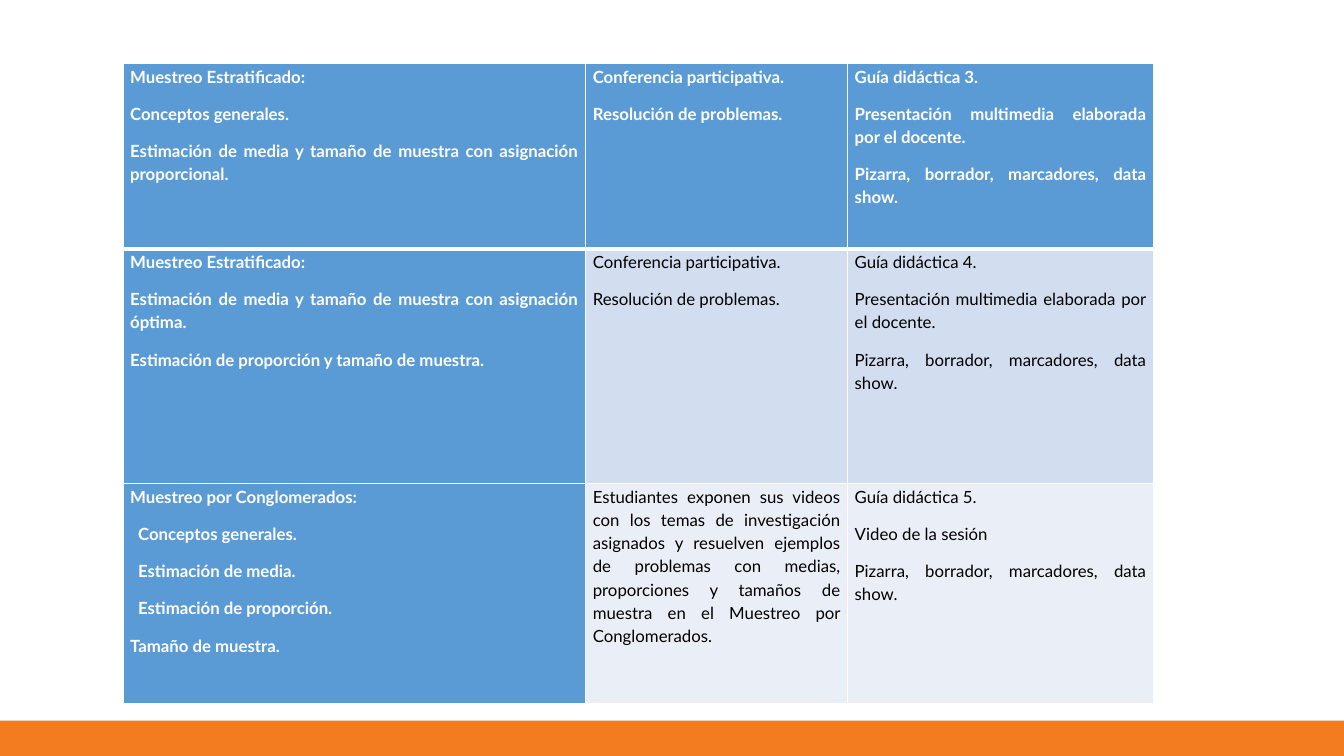
from lxml.etree import SubElement
from pptx import Presentation
from pptx.dml.color import RGBColor
from pptx.enum.shapes import MSO_SHAPE as Shape
from pptx.enum.text import PP_ALIGN as Align
from pptx.oxml.ns import qn
from pptx.util import Cm, Pt

WHITE = RGBColor(0xFF, 0xFF, 0xFF)
BLACK = RGBColor(0x00, 0x00, 0x00)
ORANGE = RGBColor(0xF4, 0x7C, 0x20)
BLUE = RGBColor(0x5B, 0x9B, 0xD5)
BAND_FILLS = [BLUE, RGBColor(0xD2, 0xDE, 0xEF), RGBColor(0xEA, 0xEF, 0xF7)]

COLUMN_WIDTHS = [11.66, 6.6, 7.71]
ROW_HEIGHTS = [4.67, 5.92, 5.54]

METHODS = ["Conferencia participativa.", "Resolución de problemas."]
SLIDES = "Presentación multimedia elaborada por el docente."
BOARD = "Pizarra, borrador, marcadores, data show."
CLUSTER_TOPICS = ["Conceptos generales.", "Estimación de media.", "Estimación de proporción."]
SESSIONS = [
    [
        [
            "Muestreo Estratificado:",
            "Conceptos generales.",
            "Estimación de media y tamaño de muestra con asignación proporcional.",
        ],
        METHODS,
        ["Guía didáctica 3.", SLIDES, BOARD],
    ],
    [
        [
            "Muestreo Estratificado:",
            "Estimación de media y tamaño de muestra con asignación óptima.",
            "Estimación de proporción y tamaño de muestra.",
        ],
        METHODS,
        ["Guía didáctica 4.", SLIDES, BOARD],
    ],
    [
        ["Muestreo por Conglomerados:", *CLUSTER_TOPICS, "Tamaño de muestra."],
        [
            "Estudiantes exponen sus videos con los temas de investigación asignados "
            "y resuelven ejemplos de problemas con medias, proporciones y tamaños de "
            "muestra en el Muestreo por Conglomerados."
        ],
        ["Guía didáctica 5.", "Video de la sesión", BOARD],
    ],
]


def add_footer_bar(page, width):
    """Draw the orange bar along the bottom edge."""
    bar = page.shapes.add_shape(Shape.RECTANGLE, 0, Cm(18.16), width, Cm(0.89))
    bar.shadow.inherit = False
    bar.fill.solid()
    bar.fill.fore_color.rgb = ORANGE
    bar.line.fill.background()


def set_borders(cell, top, bottom):
    """Give a cell white borders, with top and bottom widths in points."""
    properties = cell._tc.get_or_add_tcPr()
    for side, width in (("L", 1), ("R", 1), ("T", top), ("B", bottom)):
        line = SubElement(properties, qn(f"a:ln{side}"), w=str(Pt(width)))
        fill = SubElement(line, qn("a:solidFill"))
        SubElement(fill, qn("a:srgbClr"), val=str(WHITE))


def write_cell(cell, texts, strong, align, indented=()):
    """Fill a cell with paragraphs, indenting the listed texts."""
    cell.margin_left = cell.margin_right = Cm(0.18)
    cell.margin_top = cell.margin_bottom = 0
    frame = cell.text_frame
    frame.text = "\n".join(texts)
    for para in frame.paragraphs:
        para.alignment = align
        para.line_spacing = 1.15
        para.space_after = Pt(10)
        para.font.name = "Lato"
        para.font.size = Pt(12)
        para.font.bold = strong
        para.font.color.rgb = WHITE if strong else BLACK
        if para.text in indented:
            para._p.get_or_add_pPr().set("marL", str(Cm(0.2)))


def add_session_table(page):
    """Add the table of topics, methods and resources."""
    frame = page.shapes.add_table(
        len(ROW_HEIGHTS), len(COLUMN_WIDTHS), Cm(3.1), Cm(1.6),
        Cm(sum(COLUMN_WIDTHS)), Cm(sum(ROW_HEIGHTS)),
    )
    table = frame.table
    table.first_col = True
    for column, width in zip(table.columns, COLUMN_WIDTHS):
        column.width = Cm(width)
    for r, (row, height) in enumerate(zip(table.rows, ROW_HEIGHTS)):
        row.height = Cm(height)
        for c, texts in enumerate(SESSIONS[r]):
            cell = table.cell(r, c)
            strong = r == 0 or c == 0
            align = Align.LEFT if texts is METHODS else Align.JUSTIFY
            indented = CLUSTER_TOPICS if r == 2 else ()
            write_cell(cell, texts, strong, align, indented)
            set_borders(cell, 3 if r == 1 else 1, 3 if r == 0 else 1)
            cell.fill.solid()
            cell.fill.fore_color.rgb = BLUE if strong else BAND_FILLS[r]


def main():
    """Build the slide and save the deck."""
    deck = Presentation()
    deck.slide_width = Cm(33.87)
    deck.slide_height = Cm(19.05)
    page = deck.slides.add_slide(deck.slide_layouts[6])
    add_footer_bar(page, deck.slide_width)
    add_session_table(page)
    deck.save("out.pptx")


if __name__ == "__main__":
    main()
